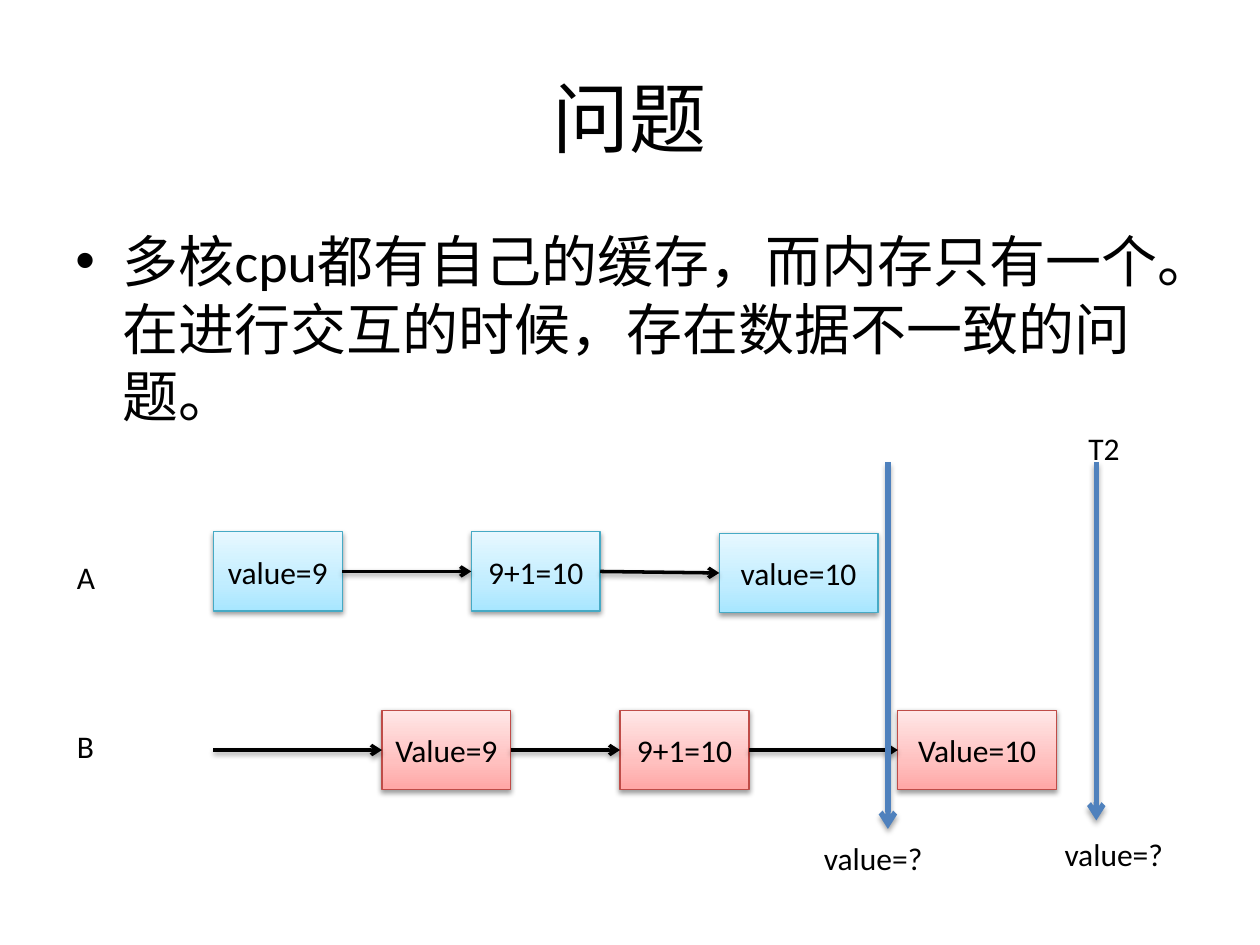
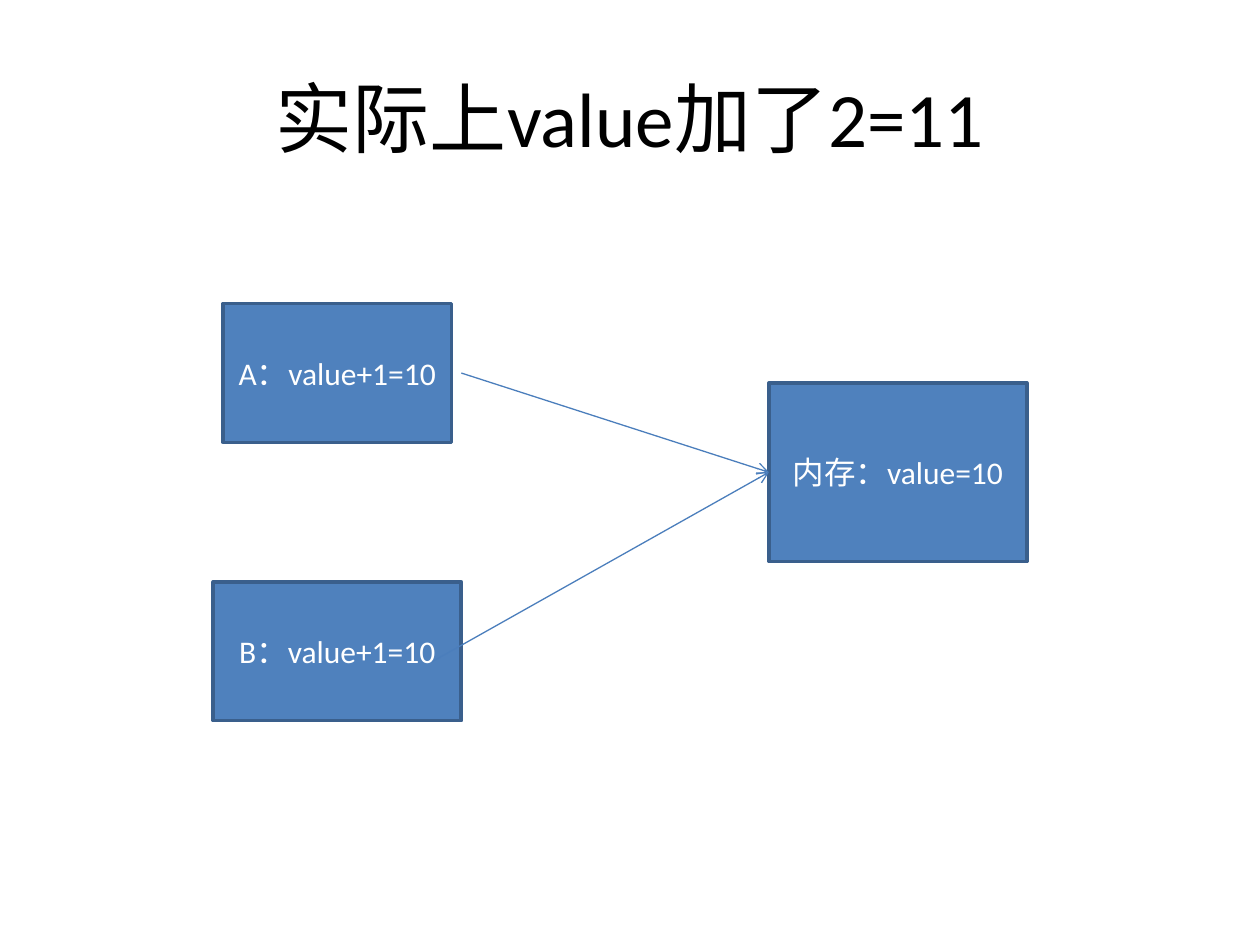
from copy import deepcopy

from lxml.etree import SubElement
from pptx import Presentation
from pptx.dml.color import RGBColor
from pptx.enum.shapes import MSO_CONNECTOR, MSO_SHAPE
from pptx.enum.text import MSO_ANCHOR as Anchor, PP_ALIGN as Align
from pptx.oxml.ns import qn
from pptx.util import Cm, Pt

BLACK = RGBColor(0x00, 0x00, 0x00)
WHITE = RGBColor(0xFF, 0xFF, 0xFF)
BLUE = RGBColor(0x4F, 0x81, 0xBD)
BLUE_EDGE = RGBColor(0x3A, 0x5F, 0x8C)
BLUE_ARROW = RGBColor(0x4B, 0x7E, 0xBC)
AQUA_EDGE = RGBColor(0x46, 0xAA, 0xC5)
AQUA_STOPS = (RGBColor(0xA7, 0xE6, 0xFF), RGBColor(0xC1, 0xED, 0xFF), RGBColor(0xE7, 0xF8, 0xFF))
RED_EDGE = RGBColor(0xBF, 0x4C, 0x48)
RED_STOPS = (RGBColor(0xFF, 0xA6, 0xA5), RGBColor(0xFF, 0xC0, 0xBF), RGBColor(0xFF, 0xE7, 0xE7))
STOP_POSITIONS = (0, 0.35, 1)

FONT = "Calibri"
LEFT_SITE, RIGHT_SITE = 1, 3


def set_shadow(shape, opacity, distance):
    """Replace the theme effects by a soft shadow below, or by none at opacity 0."""
    properties = shape._element.spPr
    effects = properties.find(qn("a:effectLst"))
    if effects is None:
        effects = SubElement(properties, qn("a:effectLst"))
    if opacity:
        shadow = SubElement(effects, qn("a:outerShdw"), blurRad=str(Pt(3.1)),
                            dist=str(Pt(distance)), dir="5400000", rotWithShape="0")
        color = SubElement(shadow, qn("a:srgbClr"), val=str(BLACK))
        SubElement(color, qn("a:alpha"), val=str(opacity * 1000))


class SlideBuilder:
    def __init__(self, deck):
        self.deck = deck
        self.page = None

    def fill_text(self, frame, text, size=18, color=BLACK, align=Align.LEFT):
        para = frame.paragraphs[0]
        para.text = text
        para.alignment = align
        para.font.name = FONT
        para.font.size = Pt(size)
        para.font.color.rgb = color
        return para

    def start(self, title):
        self.page = self.deck.slides.add_slide(self.deck.slide_layouts[5])
        box = self.page.shapes.title
        box.left, box.top, box.width, box.height = Cm(1.27), Cm(0.76), Cm(22.86), Cm(3.18)
        box.text_frame.vertical_anchor = Anchor.MIDDLE
        self.fill_text(box.text_frame, title, 44, align=Align.CENTER)

    def text(self, text, left, top, width, height=1.02, wrap=True, size=18):
        box = self.page.shapes.add_textbox(Cm(left), Cm(top), Cm(width), Cm(height))
        box.text_frame.word_wrap = wrap
        return self.fill_text(box.text_frame, text, size)

    def bullet(self, text, left, top, width, height):
        box = self.page.shapes.add_textbox(Cm(left), Cm(top), Cm(width), Cm(height))
        box.text_frame.word_wrap = True
        properties = box.text_frame.paragraphs[0]._p.get_or_add_pPr()
        properties.set("marL", str(Cm(0.95)))
        properties.set("indent", str(-Cm(0.95)))
        SubElement(properties, qn("a:buFont"), typeface="Arial")
        SubElement(properties, qn("a:buChar"), char="•")
        self.fill_text(box.text_frame, text, 32)

    def box(self, text, left, top, width, height, edge, edge_width, color):
        box = self.page.shapes.add_shape(
            MSO_SHAPE.RECTANGLE, Cm(left), Cm(top), Cm(width), Cm(height))
        box.shadow.inherit = False
        box.line.color.rgb = edge
        box.line.width = Pt(edge_width)
        box.text_frame.word_wrap = True
        box.text_frame.vertical_anchor = Anchor.MIDDLE
        self.fill_text(box.text_frame, text, color=color, align=Align.CENTER)
        return box

    def solid_box(self, text, left, top, width, height):
        box = self.box(text, left, top, width, height, BLUE_EDGE, 2, WHITE)
        box.fill.solid()
        box.fill.fore_color.rgb = BLUE
        return box

    def step_box(self, text, left, top, width, edge, stop_colors):
        """Add a shadowed box whose gradient runs from bottom to top."""
        box = self.box(text, left, top, width, 1.6, edge, 0.75, BLACK)
        box.fill.gradient()
        box.fill.gradient_angle = 90
        stop_list = box._element.spPr.find(".//" + qn("a:gsLst"))
        stop_list.insert(1, deepcopy(stop_list[0]))
        for stop, position, color in zip(box.fill.gradient_stops, STOP_POSITIONS, stop_colors):
            stop.position = position
            stop.color.rgb = color
        set_shadow(box, 38, 1.6)
        return box

    def arrow(self, color, width, start=(0, 0), end=(0, 0), source=None, target=None,
              opacity=0, distance=1.6):
        """Draw from start, or the right of source, to end, or the left of target."""
        line = self.page.shapes.add_connector(
            MSO_CONNECTOR.STRAIGHT, *(Cm(value) for value in (*start, *end)))
        if source is not None:
            line.begin_connect(source, RIGHT_SITE)
        if target is not None:
            line.end_connect(target, LEFT_SITE)
        line.line.color.rgb = color
        line.line.width = Pt(width)
        SubElement(line.line._ln, qn("a:tailEnd"), type="arrow")
        set_shadow(line, opacity, distance)


def build_problem(builder):
    builder.start("问题")
    builder.bullet("多核cpu都有自己的缓存，而内存只有一个。在进行交互的时候，存在数据不一致的问题。",
                   1.27, 4.45, 22.86, 4.67)

    narrow, wide = 2.6, 3.2
    threads = (
        ("A", 11.13, AQUA_EDGE, AQUA_STOPS,
         (("value=9", 4.3, 10.72, narrow), ("9+1=10", 9.5, 10.72, narrow),
          ("value=10", 14.5, 10.75, wide))),
        ("B", 14.53, RED_EDGE, RED_STOPS,
         (("Value=9", 7.7, 14.32, narrow), ("9+1=10", 12.5, 14.32, narrow),
          ("Value=10", 18.1, 14.32, wide))),
    )
    for name, label_top, edge, stop_colors, steps in threads:
        builder.text(name, 1.3, label_top, 0.89, wrap=False)
        boxes = [builder.step_box(*step, edge, stop_colors) for step in steps]
        for source, target in zip(boxes, boxes[1:]):
            builder.arrow(BLACK, 2, source=source, target=target, opacity=38)
    builder.arrow(BLACK, 2, (4.3, 15.12), (7.7, 15.12), opacity=38)

    for x, bottom in ((22.1, 16.54), (17.9, 16.71)):
        builder.arrow(BLUE, 3, (x, 9.32), (x, bottom), opacity=35, distance=1.8)
    builder.text("T2", 21.69, 8.53, 1.14, wrap=False)
    builder.text("value=?", 16.36, 16.79, 2.8)
    builder.text("value=?", 21.21, 16.71, 2.9)


def build_result(builder):
    builder.start("实际上value加了2=11")
    builder.solid_box("A：value+1=10", 4.5, 6.12, 4.6, 2.8)
    builder.solid_box("B：value+1=10", 4.3, 11.73, 5, 2.8)
    memory = builder.solid_box("内存：value=10", 15.5, 7.72, 5.2, 3.6)
    for start in ((9.3, 7.52), (8.71, 13.34)):
        builder.arrow(BLUE_ARROW, 0.75, start, target=memory)


def main():
    deck = Presentation()
    deck.slide_width, deck.slide_height = Cm(25.4), Cm(19.05)
    builder = SlideBuilder(deck)
    build_problem(builder)
    build_result(builder)
    deck.save("out.pptx")


if __name__ == "__main__":
    main()
